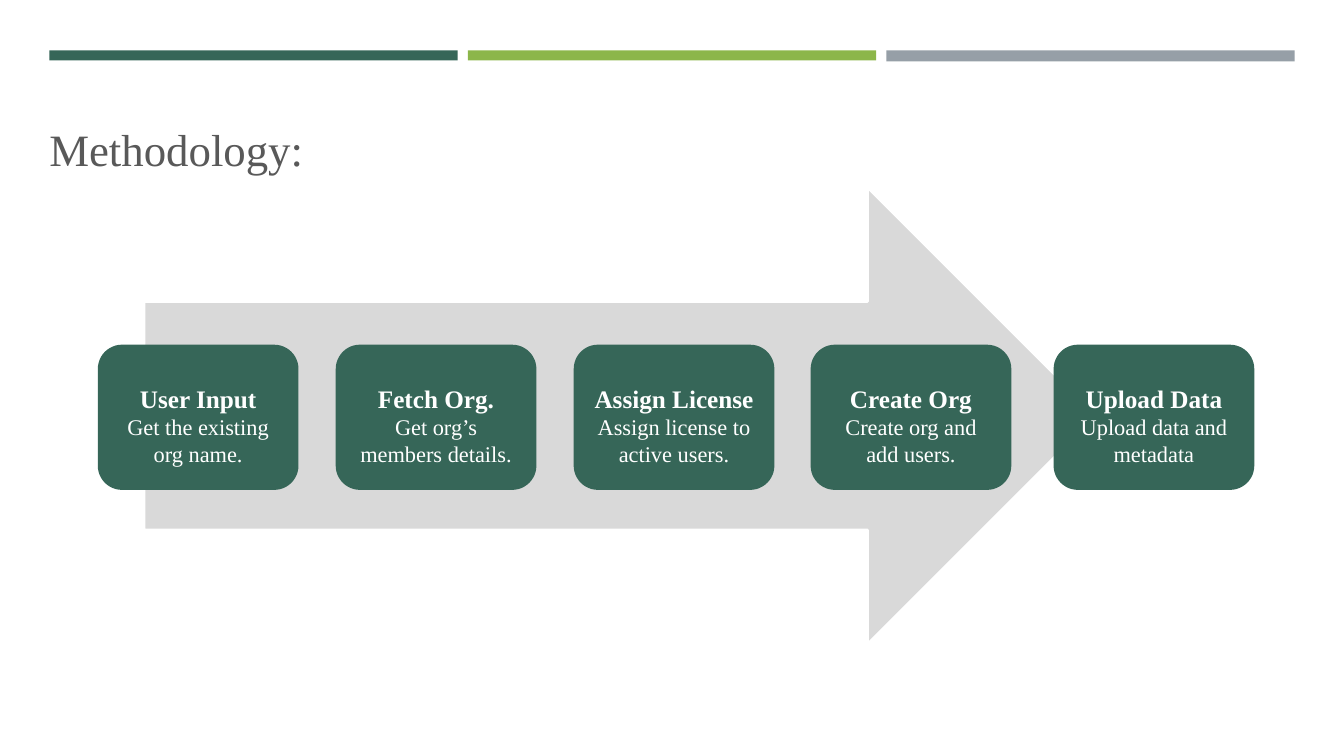
from dataclasses import dataclass

from pptx import Presentation
from pptx.dml.color import RGBColor
from pptx.enum.shapes import MSO_SHAPE
from pptx.enum.text import MSO_ANCHOR, PP_ALIGN
from pptx.shapes.autoshape import Shape
from pptx.slide import Slide
from pptx.text.text import _Paragraph
from pptx.util import Inches, Pt

FONT = "Times New Roman"
PINE = RGBColor(0x36, 0x66, 0x58)
LIME = RGBColor(0x8C, 0xB6, 0x4A)
SLATE = RGBColor(0x96, 0x9F, 0xA7)
SILVER = RGBColor(0xD9, 0xD9, 0xD9)
CHARCOAL = RGBColor(0x59, 0x59, 0x59)
WHITE = RGBColor(0xFF, 0xFF, 0xFF)


@dataclass(frozen=True)
class Band:
    color: RGBColor
    height: float


@dataclass(frozen=True)
class Step:
    left: float
    heading: str
    detail: str


BANDS = [Band(PINE, 0.1), Band(LIME, 0.1), Band(SLATE, 0.11)]
BAND_LEFT, BAND_PITCH = 0.49, 4.15

STEPS = [
    Step(0.97, "User Input", "Get the existing org name."),
    Step(3.33, "Fetch Org.", "Get org’s members details."),
    Step(5.69, "Assign License", "Assign license to active users."),
    Step(8.04, "Create Org", "Create org and add users."),
    Step(10.45, "Upload Data", "Upload data and metadata"),
]


def add_block(slide: Slide, kind: MSO_SHAPE, left: float, top: float,
              width: float, height: float, color: RGBColor) -> Shape:
    block = slide.shapes.add_shape(
        kind, Inches(left), Inches(top), Inches(width), Inches(height))
    block.shadow.inherit = False
    block.fill.solid()
    block.fill.fore_color.rgb = color
    block.line.fill.background()
    return block


def add_run(paragraph: _Paragraph, wording: str, size: int,
            color: RGBColor, bold: bool = False) -> None:
    run = paragraph.add_run()
    run.text = wording
    run.font.name = FONT
    run.font.size = Pt(size)
    run.font.bold = bold
    run.font.color.rgb = color


def add_title(slide: Slide, wording: str) -> None:
    title = slide.shapes.add_textbox(
        Inches(0.39), Inches(1.16), Inches(3.78), Inches(0.64))
    title.text_frame.word_wrap = True
    add_run(title.text_frame.paragraphs[0], wording, 32, CHARCOAL)


def add_step(slide: Slide, step: Step) -> None:
    card = add_block(slide, MSO_SHAPE.ROUNDED_RECTANGLE,
                     step.left, 3.42, 1.99, 1.44, PINE)
    frame = card.text_frame
    frame.word_wrap = True
    frame.vertical_anchor = MSO_ANCHOR.MIDDLE
    heading = frame.paragraphs[0]
    heading.line_spacing = 1.5
    detail = frame.add_paragraph()
    for paragraph in (heading, detail):
        paragraph.alignment = PP_ALIGN.CENTER
    add_run(heading, step.heading, 18, WHITE, bold=True)
    add_run(detail, step.detail, 16, WHITE)


def main() -> None:
    deck = Presentation()
    deck.slide_width = Inches(13.33)
    deck.slide_height = Inches(7.5)
    slide = deck.slides.add_slide(deck.slide_layouts[6])

    for index, band in enumerate(BANDS):
        add_block(slide, MSO_SHAPE.RECTANGLE, BAND_LEFT + index * BAND_PITCH,
                  0.5, 4.05, band.height, band.color)

    process_arrow = add_block(slide, MSO_SHAPE.RIGHT_ARROW,
                              1.43, 1.86, 9.44, 4.53, SILVER)
    process_arrow.line.color.rgb = WHITE
    process_arrow.line.width = Pt(1.75)

    add_title(slide, "Methodology:")
    for step in STEPS:
        add_step(slide, step)

    deck.save("out.pptx")


if __name__ == "__main__":
    main()
